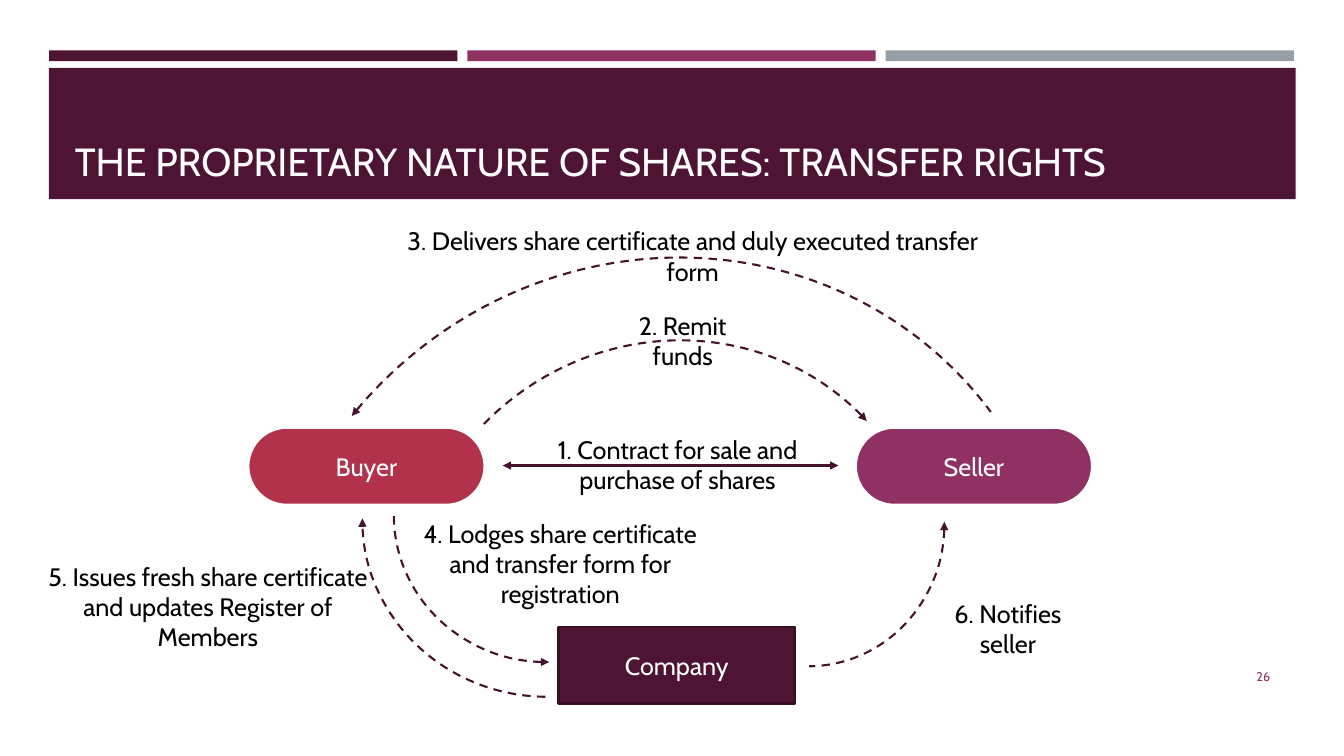
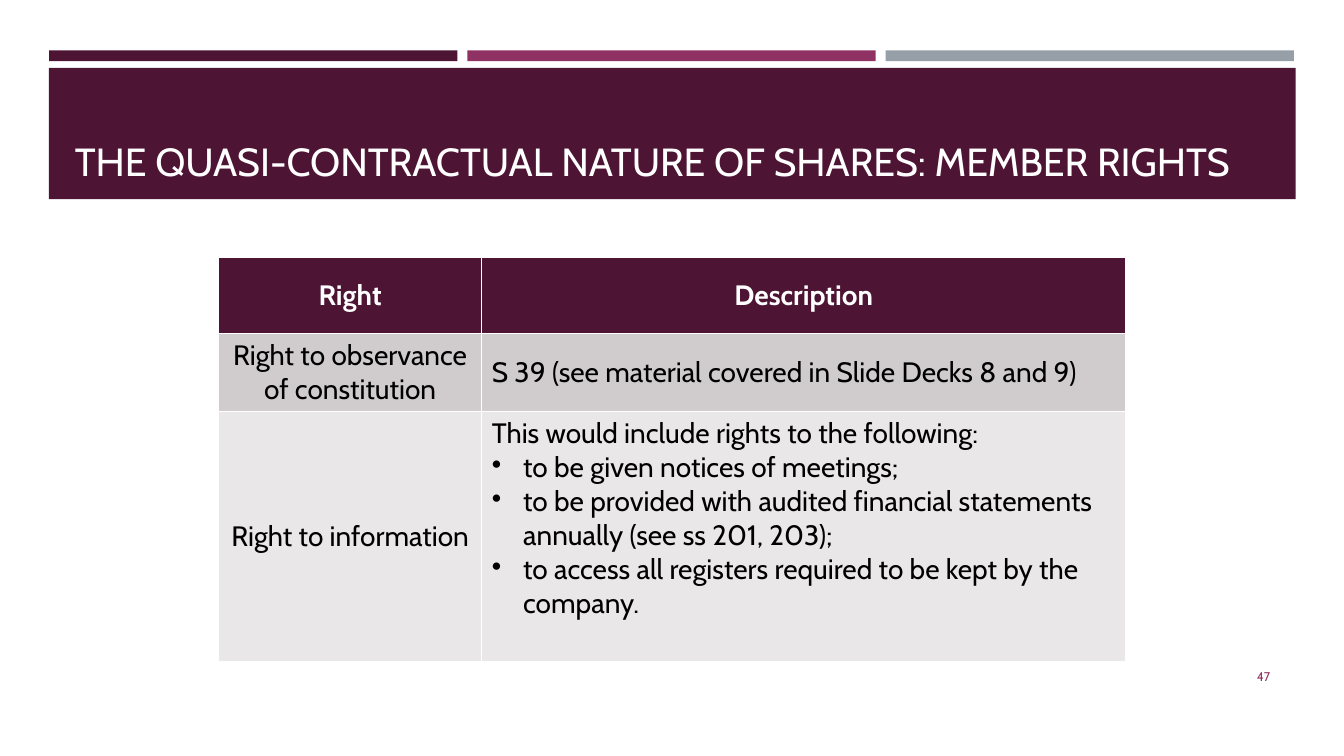
from dataclasses import dataclass

from lxml import etree
from pptx import Presentation
from pptx.dml.color import RGBColor
from pptx.enum.dml import MSO_LINE
from pptx.enum.shapes import MSO_CONNECTOR, MSO_SHAPE
from pptx.enum.text import MSO_ANCHOR, MSO_AUTO_SIZE, PP_ALIGN
from pptx.oxml.ns import qn
from pptx.util import Cm, Pt

RECT, ROUND, ARC = MSO_SHAPE.RECTANGLE, MSO_SHAPE.ROUNDED_RECTANGLE, MSO_SHAPE.ARC
STRAIGHT, DASH = MSO_CONNECTOR.STRAIGHT, MSO_LINE.DASH
TOP, MIDDLE, BOTTOM = MSO_ANCHOR.TOP, MSO_ANCHOR.MIDDLE, MSO_ANCHOR.BOTTOM
LEFT, CENTER, RIGHT = PP_ALIGN.LEFT, PP_ALIGN.CENTER, PP_ALIGN.RIGHT
NO_FIT = MSO_AUTO_SIZE.NONE


@dataclass(frozen=True)
class Theme:
    font: str = "Cabin"
    plum: str = "4D1434"
    violet: str = "903163"
    grey: str = "969FA7"
    red: str = "B2324B"
    edge: str = "390F26"
    arrow: str = "45122F"
    white: str = "FFFFFF"
    black: str = "000000"
    dark_row: str = "D0CCCE"
    light_row: str = "E9E7E8"
    title: int = 28
    table: int = 20
    label: int = 18
    number: int = 9


THEME = Theme()


@dataclass(frozen=True)
class Box:
    """Left, top, width and height in centimetres."""
    x: float
    y: float
    w: float
    h: float

    def place(self) -> tuple:
        return Cm(self.x), Cm(self.y), Cm(self.w), Cm(self.h)


@dataclass(frozen=True)
class Node:
    text: str
    box: Box
    kind: int
    fill: str
    edge: str
    width: float


@dataclass(frozen=True)
class Arc:
    """Start and end are degrees clockwise from the right."""
    box: Box
    turn: float
    start: float
    end: float
    tip: str


@dataclass(frozen=True)
class Label:
    text: str
    box: Box


@dataclass(frozen=True)
class Row:
    right: str
    lines: tuple
    fill: str
    height: float
    anchor: int = MIDDLE


NODES = (
    Node("Buyer", Box(6.25, 10.77, 5.97, 1.96), ROUND, THEME.red, THEME.white, 2),
    Node("Seller", Box(21.56, 10.77, 5.97, 1.96), ROUND, THEME.violet, THEME.white, 2),
    Node("Company", Box(14.07, 15.8, 5.97, 1.93), RECT, THEME.plum, THEME.edge, 1.75),
)
ARCS = (
    Arc(Box(16.94, 9.63, 6.86, 7.16), 0, 359, 89.6, "headEnd"),
    Arc(Box(10.34, 8.43, 13.03, 13.61), 225.3, 359, 91.85, "tailEnd"),
    Arc(Box(6.71, 6.27, 19.96, 20.83), 225.3, 353.1, 97.4, "headEnd"),
    Arc(Box(10.08, 9.14, 7.39, 7.7), 90, 359, 91.3, "headEnd"),
    Arc(Box(9.32, 8.43, 8.94, 9.32), 90, 0.6, 90.3, "tailEnd"),
)
LABELS = (
    Label("1. Contract for sale and\npurchase of shares", Box(13.67, 10.82, 6.81, 1.8)),
    Label("2. Remit funds", Box(15.16, 7.7, 4.09, 1.8)),
    Label("3. Delivers share certificate and duly executed transfer form",
          Box(9.52, 5.56, 15.88, 1.8)),
    Label("4. Lodges share certificate and transfer form for registration",
          Box(10.03, 12.93, 8.18, 2.6)),
    Label("5. Issues fresh share certificate and updates Register of Members",
          Box(0.58, 14.02, 9.32, 2.6)),
    Label("6. Notifies seller", Box(23.15, 14.94, 4.5, 1.8)),
)
ROWS = (
    Row("Right to observance of constitution",
        ("S 39 (see material covered in Slide Decks 8 and 9)",), THEME.dark_row, 1.95),
    Row("Right to information",
        ("This would include rights to the following:",
         "to be given notices of meetings;",
         "to be provided with audited financial statements annually (see ss 201, 203);",
         "to access all registers required to be kept by the company."),
        THEME.light_row, 6.3, TOP),
)


def tint(code: str) -> RGBColor:
    return RGBColor.from_string(code)


def style(frame, size: int, color: str, align=CENTER, bold: bool = False) -> None:
    for para in frame.paragraphs:
        para.alignment = align
        for run in para.runs:
            font = run.font
            font.name, font.size, font.bold = THEME.font, Pt(size), bold
            font.color.rgb = tint(color)


def add_shape(slide, kind: int, box: Box, fill: str):
    shape = slide.shapes.add_shape(kind, *box.place())
    shape.shadow.inherit = False
    shape.fill.solid()
    shape.fill.fore_color.rgb = tint(fill)
    shape.line.fill.background()
    return shape


def add_text(slide, text: str, box: Box, size: int, color: str, align=CENTER, anchor=TOP) -> None:
    frame = slide.shapes.add_textbox(*box.place()).text_frame
    frame.word_wrap = True
    frame.vertical_anchor = anchor
    frame.text = text
    style(frame, size, color, align)


def add_tips(shape, *tips: str) -> None:
    """Ink a line and put arrowheads on it, headEnd before tailEnd."""
    shape.line.color.rgb = tint(THEME.arrow)
    shape.line.width = Pt(1.5)
    line = shape.line._get_or_add_ln()
    for tip in tips:
        etree.SubElement(line, qn(f"a:{tip}"), type="triangle")


def set_layout(layout, slide) -> None:
    """Move the bands, drawn on a slide, behind the title of its layout."""
    bands = [(Box(1.24 + i * 10.54, 1.27, 10.29, 0.27), fill)
             for i, fill in enumerate((THEME.plum, THEME.violet, THEME.grey))]
    bands.append((Box(1.23, 1.71, 31.42, 3.31), THEME.plum))
    for i, (box, fill) in enumerate(bands):
        band = add_shape(slide, RECT, box, fill)._element
        band.nvSpPr.cNvPr.id = 20 + i
        layout.shapes._spTree.insert(2 + i, band)
    title = layout.placeholders[0]
    title.left, title.top, title.width, title.height = Box(1.63, 1.96, 30.63, 2.82).place()
    title.text_frame.vertical_anchor = BOTTOM
    title.text_frame.auto_size = NO_FIT


def add_slide(deck, layout, title: str, number: int):
    slide = deck.slides.add_slide(layout)
    frame = slide.shapes.title.text_frame
    frame.text = title
    style(frame, THEME.title, THEME.white, LEFT)
    add_text(slide, str(number), Box(29.34, 16.54, 2.92, 1.02),
             THEME.number, THEME.violet, RIGHT, MIDDLE)
    return slide


def add_node(slide, node: Node) -> None:
    shape = add_shape(slide, node.kind, node.box, node.fill)
    if node.kind == ROUND:
        shape.adjustments[0] = 0.5
    shape.line.color.rgb = tint(node.edge)
    shape.line.width = Pt(node.width)
    shape.text_frame.text = node.text
    shape.text_frame.vertical_anchor = MIDDLE
    style(shape.text_frame, THEME.label, THEME.white)


def add_arc(slide, arc: Arc) -> None:
    shape = add_shape(slide, ARC, arc.box, THEME.white)
    shape.fill.background()
    shape.rotation = arc.turn
    for i, angle in enumerate((arc.start, arc.end)):
        shape.adjustments[i] = angle * 0.6
    shape.line.dash_style = DASH
    add_tips(shape, arc.tip)


def draw_flow(slide) -> None:
    for node in NODES:
        add_node(slide, node)
    deal = slide.shapes.add_connector(STRAIGHT, Cm(12.67), Cm(11.73), Cm(21.13), Cm(11.73))
    add_tips(deal, "headEnd", "tailEnd")
    etree.SubElement(deal._element.spPr, qn("a:effectLst"))
    for arc in ARCS:
        add_arc(slide, arc)
    for label in LABELS:
        add_text(slide, label.text, label.box, THEME.label, THEME.black)


def add_bullet(para) -> None:
    props = para._p.get_or_add_pPr()
    props.set("marL", str(Cm(0.79)))
    props.set("indent", str(-Cm(0.79)))
    etree.SubElement(props, qn("a:buChar"), char="•")


def fill_cell(cell, lines: tuple, fill: str, color: str, align=CENTER,
              anchor=MIDDLE, bold: bool = False) -> None:
    cell.fill.solid()
    cell.fill.fore_color.rgb = tint(fill)
    cell.vertical_anchor = anchor
    frame = cell.text_frame
    frame.text = "\n".join(lines)
    for para in frame.paragraphs[1:]:
        add_bullet(para)
    style(frame, THEME.table, color, align, bold)


def draw_rights(slide) -> None:
    heights = [1.93] + [row.height for row in ROWS]
    widths = (6.63, 16.23)
    box = Box(5.51, 6.48, sum(widths), sum(heights))
    table = slide.shapes.add_table(len(heights), len(widths), *box.place()).table
    for column, width in zip(table.columns, widths):
        column.width = Cm(width)
    for line, height in zip(table.rows, heights):
        line.height = Cm(height)
    for i, head in enumerate(("Right", "Description")):
        fill_cell(table.cell(0, i), (head,), THEME.plum, THEME.white, bold=True)
    for i, row in enumerate(ROWS, 1):
        fill_cell(table.cell(i, 0), (row.right,), row.fill, THEME.black)
        fill_cell(table.cell(i, 1), row.lines, row.fill, THEME.black, LEFT, row.anchor)


def main() -> None:
    deck = Presentation()
    deck.slide_width, deck.slide_height = Cm(33.87), Cm(19.05)
    layout = deck.slide_layouts[5]
    flow = add_slide(deck, layout, "THE PROPRIETARY NATURE OF SHARES: TRANSFER RIGHTS", 26)
    set_layout(layout, flow)
    draw_flow(flow)
    rights = add_slide(deck, layout, "THE QUASI-CONTRACTUAL NATURE OF SHARES: MEMBER RIGHTS", 47)
    draw_rights(rights)
    deck.save("out.pptx")


if __name__ == "__main__":
    main()
